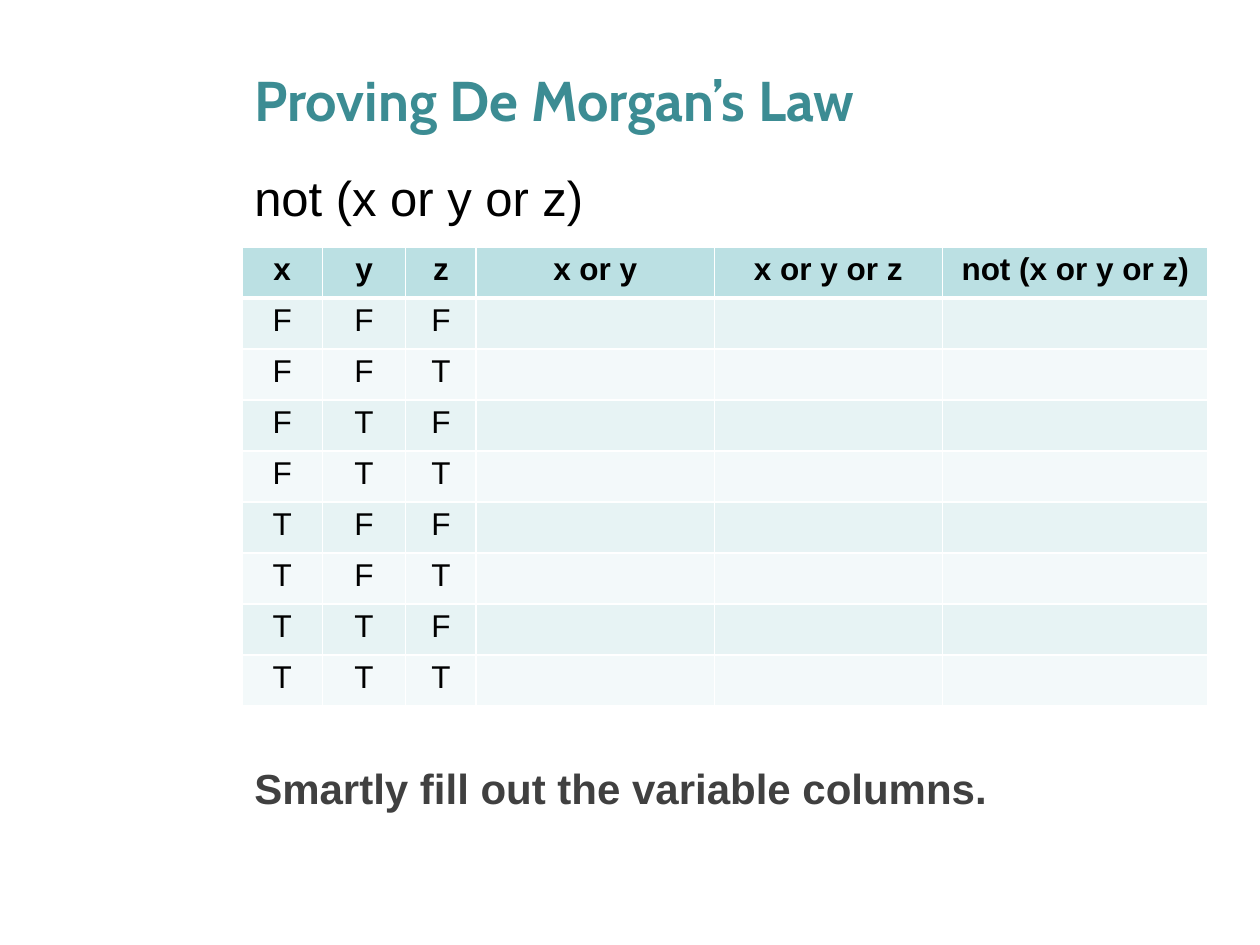
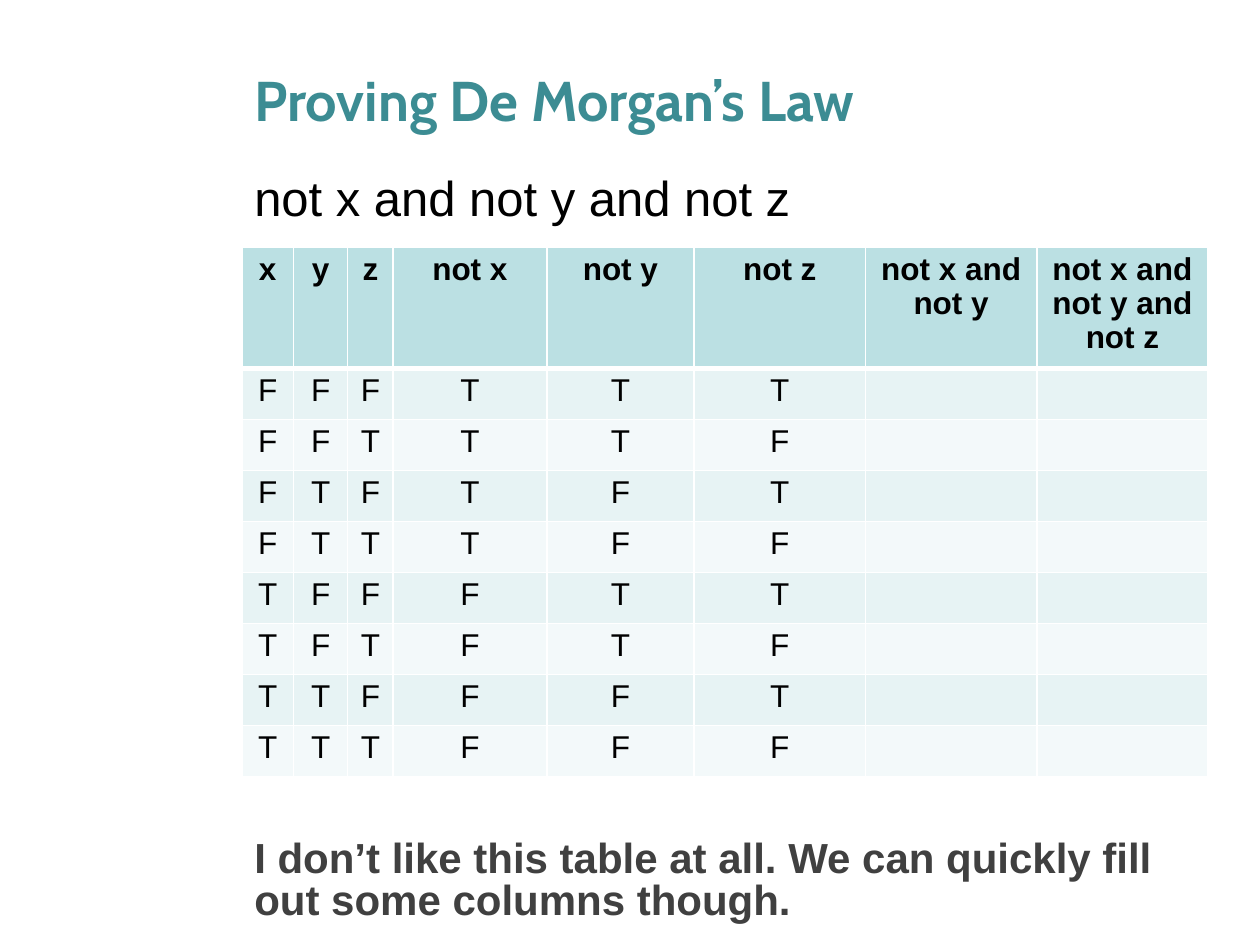
from itertools import product

from lxml import etree
from pptx import Presentation
from pptx.dml.color import RGBColor
from pptx.enum.text import MSO_ANCHOR, PP_ALIGN
from pptx.oxml.ns import qn
from pptx.util import Inches, Pt

COLORS = {
    "title": "3C8C93", "text": "000000", "caption": "404040", "border": "FFFFFF",
    "header": "BBE0E3", "odd row": "E7F3F4", "even row": "F3F9FA",
}
GRID_COLUMNS, GRID_ROWS = 100, 75
LEFT, WIDTH = 19.2, 76.7
TABLE_TOP, ROW_HEIGHT = 19.6, 4.05


class TruthTableDeck:
    """Holds the shared style and the current slide; lengths are grid units."""

    def __init__(self):
        self.deck = Presentation()
        self.deck.slide_width, self.deck.slide_height = Inches(10), Inches(7.5)
        self.page = None

    def across(self, columns):
        return round(self.deck.slide_width * columns / GRID_COLUMNS)

    def down(self, rows):
        return round(self.deck.slide_height * rows / GRID_ROWS)

    def add_page(self):
        self.page = self.deck.slides.add_slide(self.deck.slide_layouts[6])

    def add_span(self, para, words, size, color="text", font="Arial", bold=False):
        span = para.add_run()
        span.text = words
        span.font.name, span.font.size, span.font.bold = font, Pt(size), bold
        span.font.color.rgb = RGBColor.from_string(COLORS[color])

    def add_text(self, words, top, height, size, spacing=1.0,
                 anchor=MSO_ANCHOR.TOP, **style):
        box = self.page.shapes.add_textbox(
            self.across(LEFT), self.down(top), self.across(WIDTH), self.down(height))
        box.text_frame.word_wrap = True
        box.text_frame.vertical_anchor = anchor
        para = box.text_frame.paragraphs[0]
        para.line_spacing = spacing
        self.add_span(para, words, size, **style)

    def add_title(self, words):
        self.add_text(words, 3.3, 9.2, 32, anchor=MSO_ANCHOR.MIDDLE,
                      color="title", font="Cabin", bold=True)

    def add_formula(self, words):
        self.add_text(words, 12.8, 6.8, 28)

    def add_caption(self, words, top, height):
        self.add_text(words, top, height, 24, spacing=0.83, color="caption", bold=True)

    def add_borders(self, cell, bottom):
        properties = cell._tc.get_or_add_tcPr()
        sides = {"a:lnL": 1, "a:lnR": 1, "a:lnT": 1, "a:lnB": bottom}
        for position, (side, points) in enumerate(sides.items()):
            line = etree.Element(qn(side), w=str(Pt(points)))
            fill = etree.SubElement(line, qn("a:solidFill"))
            etree.SubElement(fill, qn("a:srgbClr"), val=COLORS["border"])
            properties.insert(position, line)

    def fill_cell(self, cell, words, color, is_header):
        cell.fill.solid()
        cell.fill.fore_color.rgb = RGBColor.from_string(COLORS[color])
        self.add_borders(cell, 3 if is_header else 1)
        para = cell.text_frame.paragraphs[0]
        para.alignment = PP_ALIGN.CENTER
        para.line_spacing = 0.96
        if words:
            self.add_span(para, words, 18, bold=is_header)

    def add_truth_table(self, headings, widths, truth_rows, header_height=ROW_HEIGHT):
        rows = [headings, *truth_rows]
        heights = [header_height] + [ROW_HEIGHT] * len(truth_rows)
        table = self.page.shapes.add_table(
            len(rows), len(headings), self.across(LEFT), self.down(TABLE_TOP),
            self.across(sum(widths)), self.down(sum(heights))).table
        for column, width in zip(table.columns, widths):
            column.width = self.across(width)
        for index, (row, height) in enumerate(zip(rows, heights)):
            table.rows[index].height = self.down(height)
            color = "header" if index == 0 else "odd row" if index % 2 else "even row"
            for place in range(len(headings)):
                words = row[place] if place < len(row) else ""
                self.fill_cell(table.cell(index, place), words, color, index == 0)


def main():
    show = TruthTableDeck()
    variables = list(product("FT", repeat=3))
    negated = [row + tuple("T" if value == "F" else "F" for value in row)
               for row in variables]

    # Left side of the law: only the variables are filled in
    show.add_page()
    show.add_title("Proving De Morgan’s Law")
    show.add_formula("not (x or y or z)")
    show.add_truth_table(
        ["x", "y", "z", "x or y", "x or y or z", "not (x or y or z)"],
        [6.4, 6.6, 5.6, 18.9, 18.1, 21.1], variables)
    show.add_caption("Smartly fill out the variable columns.", 60.7, 4.2)

    # Right side of the law: variables and their negations
    show.add_page()
    show.add_title("Proving De Morgan’s Law")
    show.add_formula("not x and not y and not z")
    show.add_truth_table(
        ["x", "y", "z", "not x", "not y", "not z",
         "not x and not y", "not x and not y and not z"],
        [4.1, 4.3, 3.6, 12.2, 11.7, 13.6, 13.6, 13.6], negated, header_height=9.3)
    show.add_caption("I don’t like this table at all. We can quickly fill out some "
                     "columns though.", 66.2, 7.5)

    show.deck.save("out.pptx")


if __name__ == "__main__":
    main()
